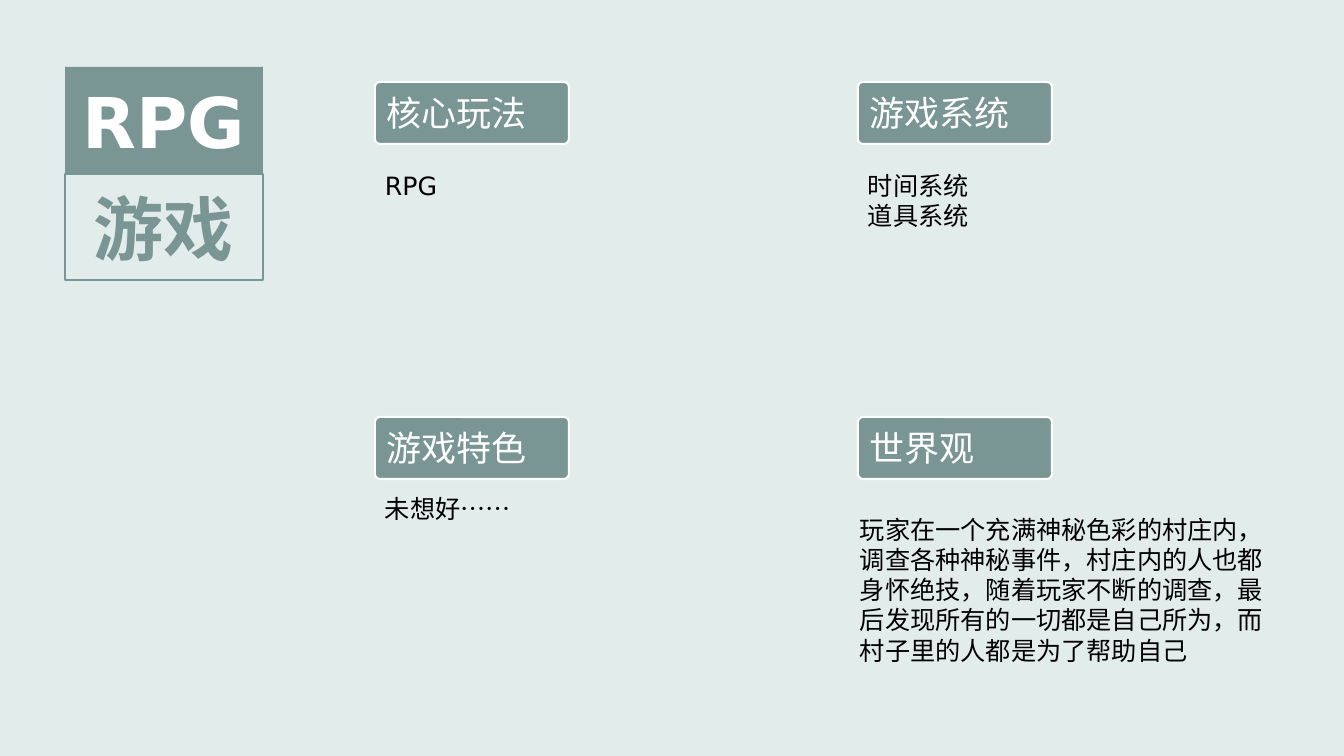
from dataclasses import dataclass

from pptx import Presentation
from pptx import util as u
from pptx.dml.color import RGBColor as Rgb
from pptx.enum import shapes, text


@dataclass(frozen=True)
class Theme:
    """Colours, font and type sizes of the slide."""
    back: Rgb = Rgb.from_string("E2ECEB")
    main: Rgb = Rgb.from_string("799594")
    white: Rgb = Rgb.from_string("FFFFFF")
    ink: Rgb = Rgb.from_string("000000")
    font: str = "DejaVu Sans"
    title: int = 50
    head: int = 25
    body: int = 18


THEME = Theme()
SCALE = 914400 / 100.8
COLS = (375, 858)
ROWS = (82, 417)
LABELS = (("核心玩法", "游戏系统"), ("游戏特色", "世界观"))
NOTES = (
    ("RPG", 375, 165, 116, 40),
    ("时间系统\n道具系统", 858, 165, 249, 72),
    ("未想好……", 375, 488, 249, 40),
    ("玩家在一个充满神秘色彩的村庄内，调查各种神秘事件，村庄内的人也都身怀绝技，"
     "随着玩家不断的调查，最后发现所有的一切都是自己所为，而村子里的人都是为了帮助自己",
     850, 509, 428, 163),
)


def px(*sizes):
    """Turn pixels into EMU."""
    return [u.Emu(round(size * SCALE)) for size in sizes]


def write(shape, words, size, color, bold=False, align=text.PP_ALIGN.LEFT):
    """Set and format the text of a shape."""
    frame = shape.text_frame
    frame.word_wrap = True
    frame.text = words
    for para in frame.paragraphs:
        para.alignment = align
        for run in para.runs:
            run.font.name = THEME.font
            run.font.size = u.Pt(size)
            run.font.bold = bold
            run.font.color.rgb = color


def paint(shape, fill, line=None, width=1):
    """Fill and outline a shape and centre its text upright."""
    shape.fill.solid()
    shape.fill.fore_color.rgb = fill
    if line is None:
        shape.line.fill.background()
    else:
        shape.line.color.rgb = line
        shape.line.width = u.Pt(width)
    shape.shadow.inherit = False
    shape.text_frame.vertical_anchor = text.MSO_ANCHOR.MIDDLE


def add_title(slide):
    """Build the two stacked title blocks."""
    top = slide.shapes.title
    top.left, top.top, top.width, top.height = px(65, 67, 198, 107)
    paint(top, THEME.main)
    top.text_frame.auto_size = text.MSO_AUTO_SIZE.NONE
    low = slide.shapes.add_shape(
        shapes.MSO_SHAPE.RECTANGLE, *px(65, 174, 198, 106))
    paint(low, THEME.back, THEME.main)
    for block, words, color in ((top, "RPG", THEME.white),
                                (low, "游戏", THEME.main)):
        write(block, words, THEME.title, color, True, text.PP_ALIGN.CENTER)


def add_label(slide, words, left, top):
    """Add a rounded section label."""
    label = slide.shapes.add_shape(
        shapes.MSO_SHAPE.ROUNDED_RECTANGLE, *px(left, top, 194, 62))
    label.adjustments[0] = 0.08
    paint(label, THEME.main, THEME.white, 1.5)
    write(label, words, THEME.head, THEME.white)


def add_note(slide, words, *box):
    """Add a body text box."""
    note = slide.shapes.add_textbox(*px(*box))
    write(note, words, THEME.body, THEME.ink)
    note.text_frame.auto_size = text.MSO_AUTO_SIZE.SHAPE_TO_FIT_TEXT


def main():
    """Build and save the slide."""
    deck = Presentation()
    deck.slide_width, deck.slide_height = px(1344, 756)
    slide = deck.slides.add_slide(deck.slide_layouts[5])
    slide.background.fill.solid()
    slide.background.fill.fore_color.rgb = THEME.back
    add_title(slide)
    for top, names in zip(ROWS, LABELS):
        for left, name in zip(COLS, names):
            add_label(slide, name, left, top)
    for note in NOTES:
        add_note(slide, *note)
    deck.save("out.pptx")


if __name__ == "__main__":
    main()
